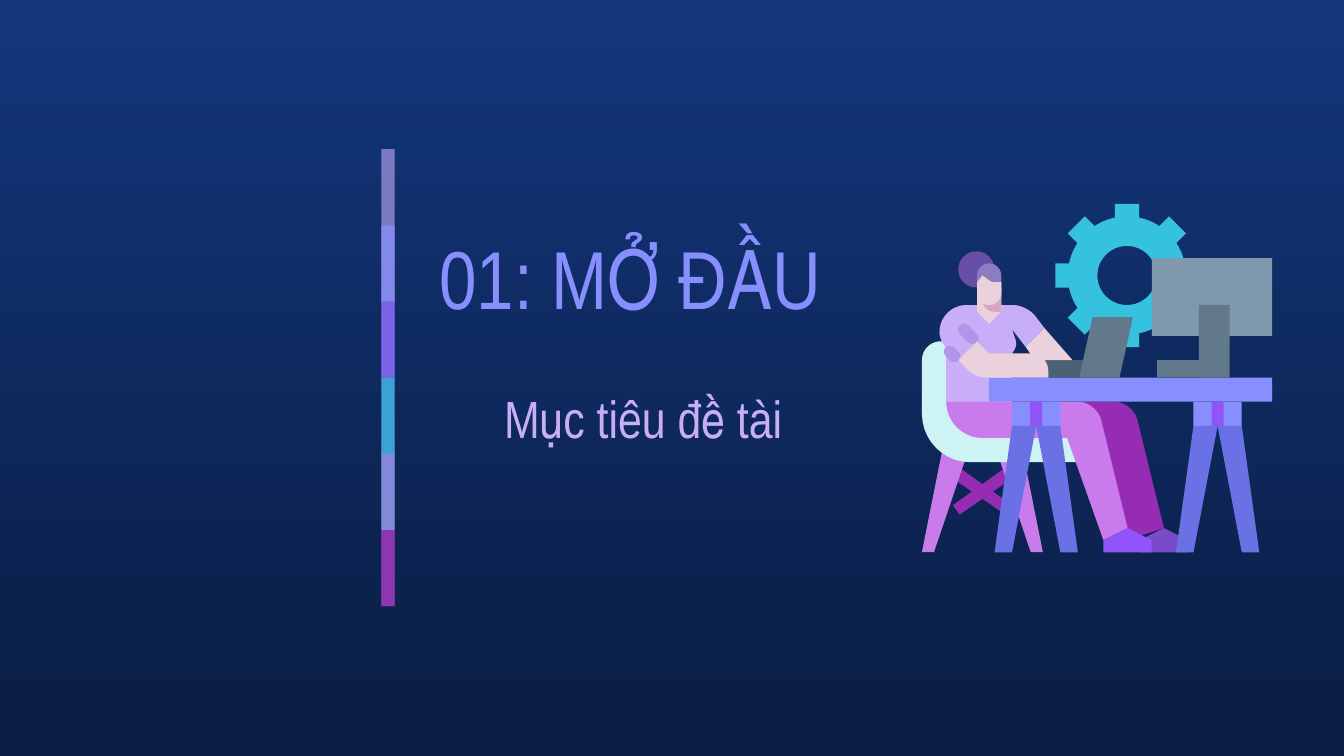
import math

from lxml import etree
from pptx import Presentation
from pptx.dml.color import RGBColor
from pptx.enum.shapes import MSO_SHAPE
from pptx.enum.text import MSO_ANCHOR, PP_ALIGN
from pptx.oxml.ns import qn
from pptx.util import Cm, Pt

RECTANGLE = MSO_SHAPE.RECTANGLE
PRESETS = {"box": RECTANGLE, "oval": MSO_SHAPE.OVAL, "pill": MSO_SHAPE.ROUNDED_RECTANGLE,
           "dome": MSO_SHAPE.ROUND_2_SAME_RECTANGLE, "slanted": MSO_SHAPE.PARALLELOGRAM}
MIDDLE = MSO_ANCHOR.MIDDLE
LEFT, CENTER = PP_ALIGN.LEFT, PP_ALIGN.CENTER

THEME = {
    "font": "Arial Narrow", "title size": 44, "subtitle size": 28,
    "sky": "13367C", "night": "0A1D42",
    "lavender": "C8AEF8", "periwinkle": "878FFF", "violet": "9154F8",
    "cyan": "35C2DF", "orchid": "CA7BEB", "purple": "972CB4",
    "ice": "CEF3F5", "shade": "B394EB", "skin": "EAD1DC", "neck": "D5A6BD",
    "bun": "674EA7", "hair": "8E7CC3", "back shoe": "794BC8", "trestle": "6971E5",
    "keyboard": "4B6275", "steel": "62798C", "monitor": "8098AB",
}

# text, left, top, width, height (cm), size, colour, alignment
TEXTS = [
    ("01: MỞ ĐẦU", 8.05, 3.96, 8.79, 2.54, "title size", "periwinkle", LEFT),
    ("Mục tiêu đề tài", 8.51, 7.04, 7.29, 1.7, "subtitle size", "lavender", CENTER),
]

# colour, opacity in percent; each band overlaps the next one by half
BANDS = [("lavender", 59), ("periwinkle", 74), ("violet", 53),
         ("cyan", 76), ("orchid", 56), ("purple", 74)]
BAND_LEFT, BAND_TOP, BAND_WIDTH, BAND_STEP = 7.21, 2.82, 0.25, 1.44

# The illustration is drawn on a grid of 1/100 inch.
GRID = Cm(2.54) / 100
CORNER_STEPS = 10
GEAR = {"center": (838.5, 205), "body": 44, "tip": 54, "hole": 22,
        "half tooth": 9, "teeth": 8}
CHAIR_AXIS = 731
TRESTLE_LEFTS = [888, 753]


def mirrored(color_name, axis, points):
    """Return an outline and its reflection in a vertical axis."""
    return [("outline", color_name, points),
            ("outline", color_name, [(2 * axis - x, y) for x, y in points])]


def leg(shift, ankle, leg_color, shoe_color):
    thigh = [(704, 299), (704, 326, 27), (794, 326), (ankle - shift, 402),
             (839, 393), (816, 299, 14)]
    shoe = [(839, 393), (821, 402), (821, 411), (857, 411), (857, 402)]
    return [("outline", name, [(x + shift, *rest) for x, *rest in points])
            for name, points in ((leg_color, thigh), (shoe_color, shoe))]


def trestle(left):
    return [
        ("box", "periwinkle", (left, 299, 36, 18)),
        ("box", "violet", (left + 13.5, 299, 9, 18)),
        *mirrored("trestle", left + 18, [
            (left, 317), (left - 13, 411), (left, 411), (left + 18, 317)]),
    ]


# kind, colour, geometry. Presets: left, top, width, height.
# Outlines: corners (x, y), or (x, y, radius) for a rounded one.
ILLUSTRATION = [
    ("box", "keyboard", (776, 268, 31, 13)),
    *mirrored("purple", CHAIR_AXIS, [(711, 346), (706, 354), (748, 383), (753, 376)]),
    *mirrored("orchid", CHAIR_AXIS, [(702, 331), (686, 411), (695, 411), (722, 331)]),
    ("outline", "ice", [(686, 254, 14), (686, 344, 36), (807, 344), (807, 322),
                        (709, 322, 22), (709, 254)]),
    *leg(27, 839, "purple", "back shoe"),
    ("outline", "skin", [(763, 258), (770, 268), (798, 268), (777, 244)]),
    ("outline", "lavender", [
        (699, 227, 20), (699, 252, 5), (704, 259), (704, 299), (753, 299),
        (753, 263), (757, 257, 4), (753, 245), (763, 258), (777, 244), (764, 227, 10)]),
    ("box", "periwinkle", (736, 281, 210.5, 18)),
    ("pill", "shade", (701.5, 259, 14, 9)),
    ("pill", "shade", (711.5, 244, 18, 9)),
    ("outline", "skin", [(727, 214), (727, 232), (736, 241), (745, 232), (745, 214)]),
    ("outline", "skin", [(727, 254), (713, 268), (726, 281, 7), (780, 281),
                         (780, 263, 13), (736, 263)]),
    ("slanted", "steel", (803, 236, 40, 45)),
    *leg(0, 821, "orchid", "violet"),
    ("box", "monitor", (857, 192, 89.5, 58)),
    ("box", "steel", (892, 227, 23, 54)),
    ("box", "steel", (861, 268, 31, 13)),
    *[part for left in TRESTLE_LEFTS for part in trestle(left)],
    ("outline", "neck", [(731, 214), (731, 232, 9), (745, 232), (745, 214)]),
    ("oval", "bun", (713, 187, 27, 27)),
    ("dome", "hair", (727, 196, 18, 18)),
    ("outline", "skin", [(731, 205), (727, 210), (727, 227, 9), (745, 227, 9),
                         (745, 210), (738, 210)]),
]


def color(name):
    return RGBColor.from_string(THEME[name])


def paint(shape, color_name):
    shape.shadow.inherit = False
    shape.fill.solid()
    shape.fill.fore_color.rgb = color(color_name)
    shape.line.fill.background()


def round_corners(outline):
    """Replace each corner that has a radius by short steps along a curve."""
    points = []
    for index, (x, y, *radius) in enumerate(outline):
        if not radius:
            points.append((x, y))
            continue
        arms = []
        for near in (outline[index - 1], outline[(index + 1) % len(outline)]):
            ratio = radius[0] / math.dist((x, y), near[:2])
            arms.append(((near[0] - x) * ratio, (near[1] - y) * ratio))
        (in_x, in_y), (out_x, out_y) = arms
        for step in range(CORNER_STEPS + 1):
            t = step / CORNER_STEPS
            start = (1 - t) ** 3 + 1.35 * t * (1 - t) ** 2
            end = t ** 3 + 1.35 * (1 - t) * t ** 2
            points.append((x + in_x * start + out_x * end, y + in_y * start + out_y * end))
    return points


def gear_contours():
    center_x, center_y = GEAR["center"]

    def polar(radius, angle):
        return (center_x + radius * math.cos(angle), center_y + radius * math.sin(angle))

    pitch = 2 * math.pi / GEAR["teeth"]
    base = math.asin(GEAR["half tooth"] / GEAR["body"])
    tip = math.asin(GEAR["half tooth"] / GEAR["tip"])
    rim = []
    for tooth in range(GEAR["teeth"]):
        angle = tooth * pitch
        rim += [polar(GEAR["tip"], angle - tip), polar(GEAR["tip"], angle + tip)]
        rim += [polar(GEAR["body"], angle + base + (pitch - 2 * base) * step / 5)
                for step in range(6)]
    hole = [polar(GEAR["hole"], -math.tau * step / 48) for step in range(48)]
    return [rim, hole]


def add_outline(shapes, contours):
    contours = [[(x * GRID, y * GRID) for x, y in points] for points in contours]
    builder = shapes.build_freeform(*contours[0][0])
    builder.add_line_segments(contours[0][1:])
    for points in contours[1:]:
        builder.move_to(*points[0])
        builder.add_line_segments(points[1:])
    return builder.convert_to_shape()


def add_part(shapes, kind, color_name, geometry):
    if kind in PRESETS:
        shape = shapes.add_shape(PRESETS[kind], *(round(value * GRID) for value in geometry))
    else:
        shape = add_outline(shapes, [round_corners(geometry)])
    if kind in ("pill", "dome"):
        shape.adjustments[0] = 0.5
    if kind == "pill":
        shape.rotation = 45
    paint(shape, color_name)


presentation = Presentation()
presentation.slide_width, presentation.slide_height = Cm(25.4), Cm(14.29)
slide = presentation.slides.add_slide(presentation.slide_layouts[6])

background = slide.background.fill
background.gradient()
background.gradient_angle = 270
for stop, position, name in zip(background.gradient_stops, (0, 1), ("sky", "night")):
    stop.position = position
    stop.color.rgb = color(name)

bar = slide.shapes.add_group_shape()
for index, (name, opacity) in enumerate(BANDS):
    steps = 1 if index == len(BANDS) - 1 else 2
    band = bar.shapes.add_shape(RECTANGLE, Cm(BAND_LEFT), Cm(BAND_TOP + index * BAND_STEP),
                                Cm(BAND_WIDTH), Cm(steps * BAND_STEP))
    paint(band, name)
    fill_color = band.element.spPr.find(qn("a:solidFill"))[0]
    etree.SubElement(fill_color, qn("a:alpha")).set("val", str(opacity * 1000))

for text, left, top, width, height, size, name, alignment in TEXTS:
    text_frame = slide.shapes.add_textbox(Cm(left), Cm(top), Cm(width), Cm(height)).text_frame
    text_frame.word_wrap = True
    text_frame.vertical_anchor = MIDDLE
    text_frame.margin_left = text_frame.margin_right = Cm(0.25)
    text_frame.margin_top = text_frame.margin_bottom = Cm(0.25)
    text_frame.text = text
    paragraph = text_frame.paragraphs[0]
    paragraph.alignment = alignment
    font = paragraph.runs[0].font
    font.name, font.size, font.color.rgb = THEME["font"], Pt(THEME[size]), color(name)

illustration = slide.shapes.add_group_shape()
paint(add_outline(illustration.shapes, gear_contours()), "cyan")
for part in ILLUSTRATION:
    add_part(illustration.shapes, *part)

presentation.save("out.pptx")
